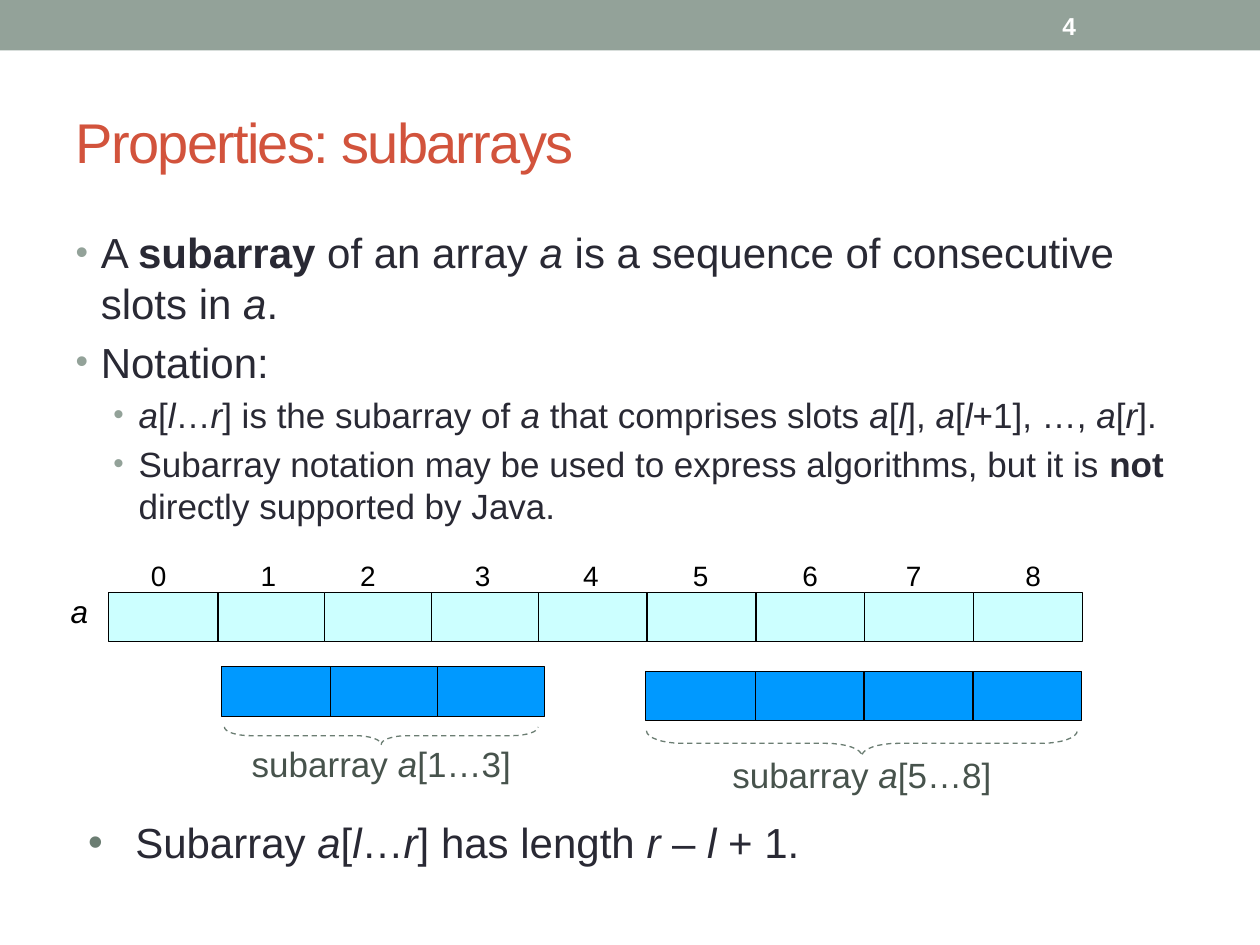
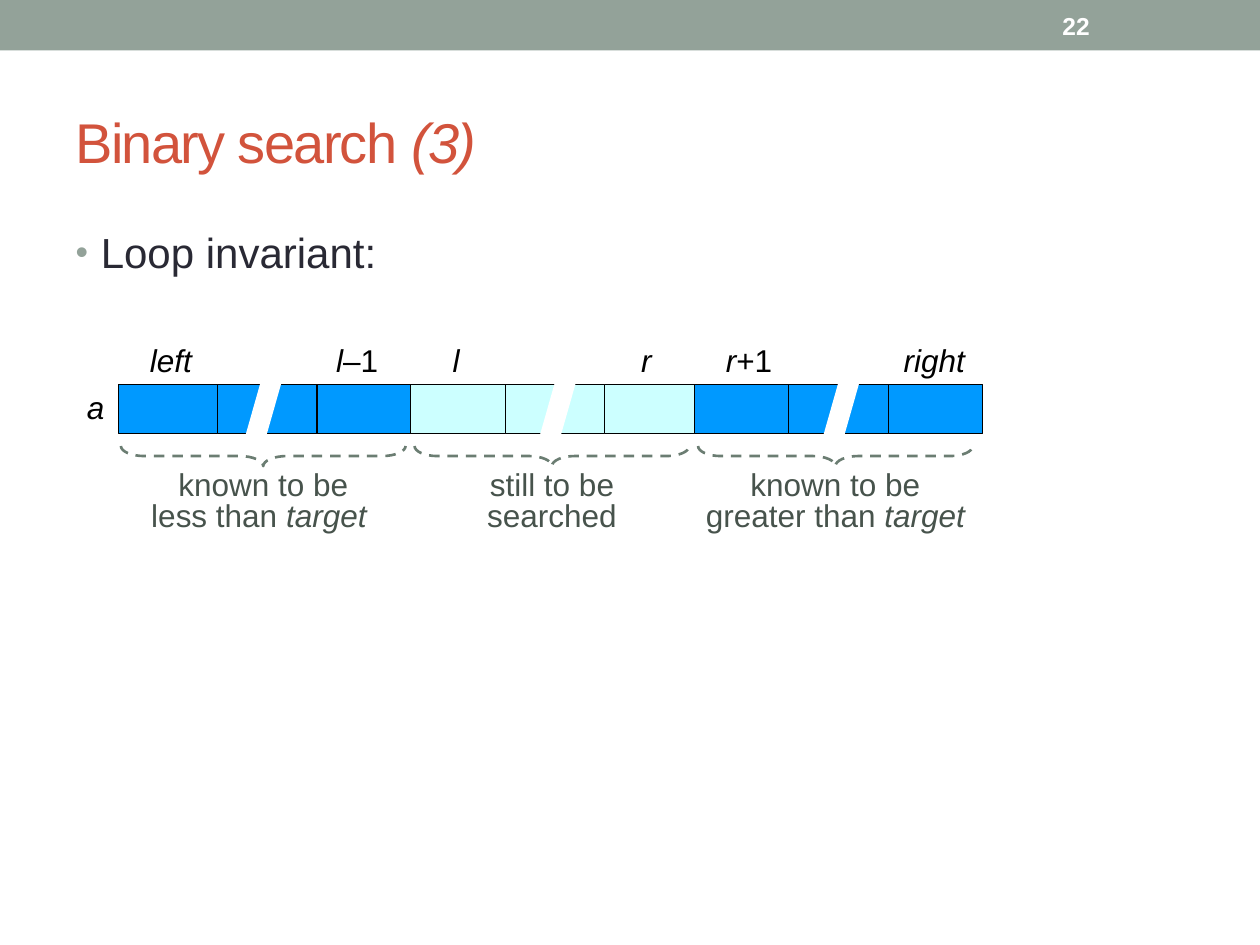
"""Build two slides on subarrays and the loop invariant of binary search."""
from dataclasses import dataclass
from math import cos, pi, sin

from lxml import etree
from pptx import Presentation
from pptx.dml.color import RGBColor
from pptx.enum.dml import MSO_LINE
from pptx.enum.shapes import MSO_SHAPE
from pptx.enum.text import MSO_ANCHOR, MSO_AUTO_SIZE, PP_ALIGN
from pptx.oxml.ns import qn
from pptx.util import Pt

RECT = MSO_SHAPE.RECTANGLE
DASH = MSO_LINE.DASH
TOP, MID = MSO_ANCHOR.TOP, MSO_ANCHOR.MIDDLE
LEFT, CENTER = PP_ALIGN.LEFT, PP_ALIGN.CENTER
FIXED = MSO_AUTO_SIZE.NONE


@dataclass(frozen=True)
class Theme:
    font: str = "Arial"
    band: str = "93A299"
    title: str = "D2533C"
    text: str = "292934"
    note: str = "47534C"
    brace: str = "6B7D72"
    pale: str = "CCFFFF"
    blue: str = "0099FF"
    white: str = "FFFFFF"
    black: str = "000000"
    head: int = 32
    main: int = 24
    sub: int = 20
    name: int = 18
    index: int = 16
    page: int = 14


def rgb(code):
    return RGBColor.from_string(code)


def put(item, values):
    for key, value in values.items():
        setattr(item, key, value)


def place(shape, x, y, w, h):
    put(shape, {"left": Pt(x), "top": Pt(y), "width": Pt(w), "height": Pt(h)})


class Deck:
    def __init__(self, theme):
        self.theme = theme
        self.prs = Presentation()
        put(self.prs, {"slide_width": Pt(720), "slide_height": Pt(540)})
        self.slide = None

    def page(self, title, number):
        t = self.theme
        self.slide = self.prs.slides.add_slide(self.prs.slide_layouts[1])
        self.box(0, 0, 720, 28.8, t.band)
        head = self.slide.shapes.title
        place(head, 36, 42, 648, 77.5)
        put(head.text_frame, {"vertical_anchor": MID, "auto_size": FIXED})
        line = head.text_frame.paragraphs[0]
        line.alignment = LEFT
        self.fill(line, title, t.head, t.title)
        for run in line.runs:
            run.font._element.set("spc", "-100")
        frame = self.frame(600, 1.5, 84, 26, 7.2, MID)
        self.fill(frame.paragraphs[0], f"_{number}_", t.page, t.white)

    def fill(self, line, text, size, color):
        for row, words in enumerate(text.split("\n")):
            if row:
                line.add_line_break()
            for i, part in enumerate(words.split("*")):
                for b, bit in enumerate(part.split("_")):
                    if bit:
                        run = line.add_run()
                        run.text = bit
                        put(run.font, {"name": self.theme.font, "size": Pt(size),
                                       "italic": i % 2 == 1, "bold": b % 2 == 1})
                        run.font.color.rgb = rgb(color)

    def frame(self, x, y, w, h, inset=0, anchor=TOP):
        frame = self.slide.shapes.add_textbox(Pt(x), Pt(y), Pt(w), Pt(h)).text_frame
        put(frame, {"word_wrap": True, "vertical_anchor": anchor,
                    "margin_left": Pt(inset), "margin_right": Pt(inset),
                    "margin_top": Pt(inset / 2), "margin_bottom": Pt(inset / 2)})
        return frame

    def bullet(self, line, color, edge, hang, scale):
        props = line._p.get_or_add_pPr()
        props.set("marL", str(Pt(edge)))
        props.set("indent", str(-Pt(hang)))
        tint = etree.SubElement(props, qn("a:buClr"))
        etree.SubElement(tint, qn("a:srgbClr")).set("val", color)
        for tag, key, value in (("a:buSzPct", "val", str(scale * 1000)),
                                ("a:buFont", "typeface", self.theme.font),
                                ("a:buChar", "char", "•")):
            etree.SubElement(props, qn(tag)).set(key, value)

    def points(self, items):
        t = self.theme
        body = self.slide.placeholders[1]
        place(body, 36, 126, 648, 384)
        frame = body.text_frame
        frame.auto_size = FIXED
        for n, (level, text) in enumerate(items):
            line = frame.add_paragraph() if n else frame.paragraphs[0]
            size = t.sub if level else t.main
            self.bullet(line, t.band, 14.4 + 21.6 * level, 14.4, 85)
            put(line, {"level": level, "space_before": Pt(size * 0.2 if n else 0)})
            self.fill(line, text, size, t.text)

    def point(self, x, y, w, h, text):
        t = self.theme
        line = self.frame(x, y, w, h, 7.2).paragraphs[0]
        self.bullet(line, t.brace, 27, 27, 100)
        self.fill(line, text, t.main, t.text)

    def label(self, mid, y, text, size, color=Theme.black, w=60, lead=None):
        line = self.frame(mid - w / 2, y, w, size * 1.2).paragraphs[0]
        put(line, {"alignment": CENTER, "line_spacing": lead})
        self.fill(line, text, size, color)

    def paint(self, shape, fill=None, edge=None, width=0.75):
        shape.shadow.inherit = False
        for part, color in ((shape.fill, fill), (shape.line.fill, edge)):
            if color:
                part.solid()
                part.fore_color.rgb = rgb(color)
            else:
                part.background()
        if edge:
            shape.line.width = Pt(width)
        return shape

    def box(self, x, y, w, h, fill, edge=None):
        shape = self.slide.shapes.add_shape(RECT, Pt(x), Pt(y), Pt(w), Pt(h))
        self.paint(shape, fill, edge)

    def trace(self, dots, close):
        dots = [(Pt(x), Pt(y)) for x, y in dots]
        pen = self.slide.shapes.build_freeform(*dots[0])
        pen.add_line_segments(dots[1:], close=close)
        return pen.convert_to_shape()

    def brace(self, x, y, w, h, width):
        r, d = w / 12, h / 2
        turns = [k * pi / 16 for k in range(9)]
        half = [(r * (1 - cos(a)), d * sin(a)) for a in turns]
        half += [(w / 2 - r + r * sin(a), h - d * cos(a)) for a in turns]
        dots = half + [(w - u, v) for u, v in half[-2::-1]]
        shape = self.trace([(x + u, y + v) for u, v in dots], False)
        self.paint(shape, None, self.theme.brace, width).line.dash_style = DASH

    def cut(self, x, y, w, h):
        dots = [(x + w / 2, y), (x + w, y), (x + w / 2, y + h), (x, y + h)]
        self.paint(self.trace(dots, True), self.theme.white)


def subs(deck):
    t = deck.theme
    deck.page("Properties: subarrays", 4)
    deck.points([
        (0, "A _subarray_ of an array *a* is a sequence of consecutive slots in *a*."),
        (0, "Notation:"),
        (1, "*a*[*l*…*r*] is the subarray of *a* that comprises slots "
            "*a*[*l*], *a*[*l*+1], …, *a*[*r*]."),
        (1, "Subarray notation may be used to express algorithms, "
            "but it is _not_ directly supported by Java."),
    ])
    slots = [62 + 61 * k + 1.2 * max(0, k - 3) for k in range(9)]
    mids = (90.7, 153.4, 210.2, 275.8, 337.7, 400.3, 463, 522, 590.4)
    for k, mid in enumerate(mids):
        deck.label(mid, 319, str(k), t.index)
    deck.label(45.4, 338.4, "*a*", t.name)
    rows = ((0, 8, 0, 338.4, t.pale), (1, 3, 3.5, 381, t.blue),
            (5, 8, -0.4, 383.6, t.blue))
    for first, last, shift, y, fill in rows:
        for k in range(last, first - 1, -1):
            deck.box(slots[k] + shift, y, 62.6, 28.3, fill, t.black)
    for x, y, w, h, top, span in ((128.2, 415.4, 179.3, 10, 424.1, "1…3"),
                                  (369.4, 417.6, 246.2, 14.4, 430.6, "5…8")):
        deck.brace(x, y, w, h, 0.75)
        deck.label(x + w / 2, top, f"subarray *a*[{span}]", t.sub, t.note, w)
    deck.point(43.2, 463, 567.4, 35.3, "Subarray *a*[*l*…*r*] has length *r* – *l* + 1.")


def search(deck):
    t = deck.theme
    deck.page("Binary search *(3)*", 22)
    deck.points([(0, "Loop invariant:")])
    for x, w, room, text in (
            (69.1, 162.7, 157, "known to be\nless than *target *"),
            (236.9, 157, 140, "still to be searched"),
            (398.9, 157, 150, "known to be\ngreater than *target *")):
        deck.brace(x, 254.9, w, 11.5, 1.5)
        deck.label(x + w / 2, 269.3, text, t.name, t.note, room, Pt(18))
    for mid, text in ((97.6, "*left*"), (204.1, "*l*–1"), (260.6, "*l*"),
                      (369.4, "*r*"), (428, "*r*+1"), (533.9, "*right*")):
        deck.label(mid, 195.1, text, t.name)
    deck.label(54.6, 221.8, "*a*", t.name)
    for k in sorted(range(9), key=lambda k: k % 3 == 1):
        x = 67.7 + 56.5 * min(k, 2) + 54 * max(0, k - 2)
        deck.box(x, 219.6, 56.9, 28.3, t.pale if k // 3 == 1 else t.blue, t.black)
    for x in (138.4, 306.6, 468.6):
        deck.cut(x, 213.2, 24, 42.2)


def main():
    deck = Deck(Theme())
    subs(deck)
    search(deck)
    deck.prs.save("out.pptx")


if __name__ == "__main__":
    main()
